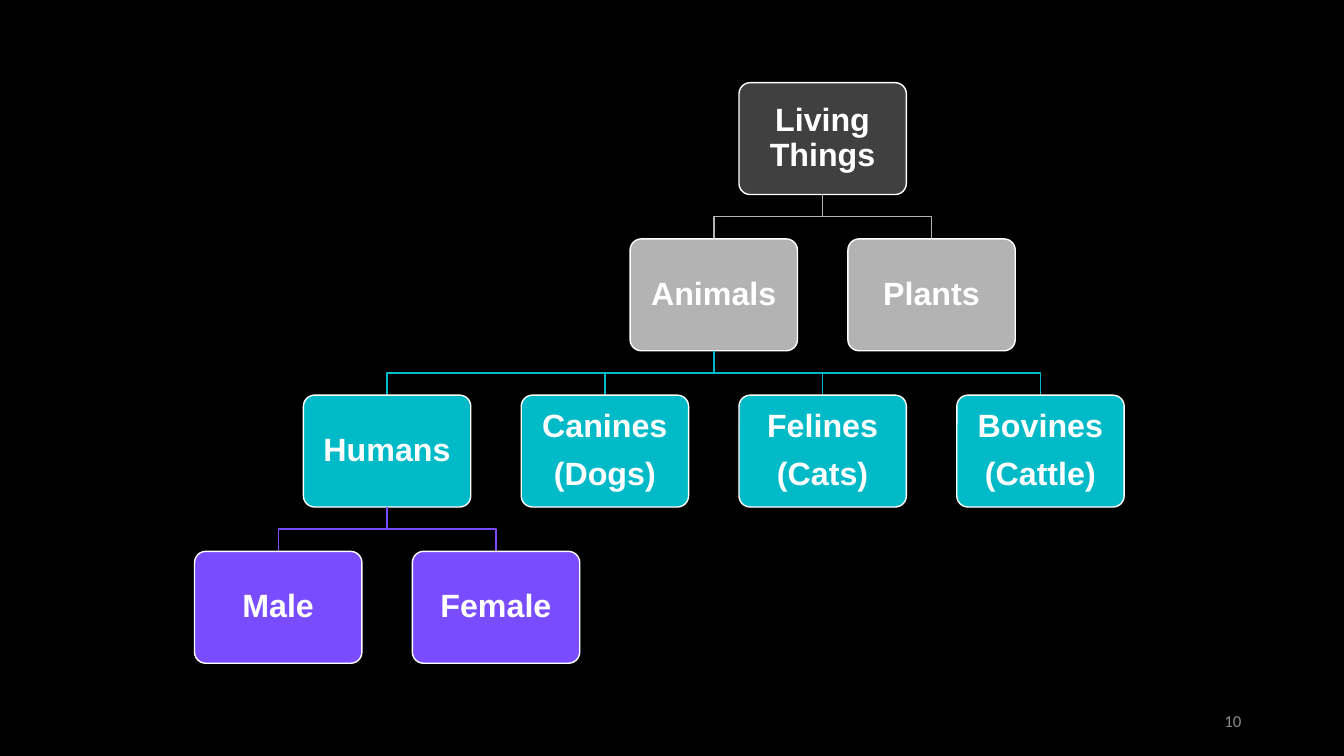
from dataclasses import dataclass

from pptx import Presentation
from pptx.dml.color import RGBColor
from pptx.enum.shapes import MSO_SHAPE
from pptx.enum.text import MSO_ANCHOR, PP_ALIGN
from pptx.slide import Slide
from pptx.text.text import TextFrame
from pptx.util import Inches, Pt

ROUNDED_RECTANGLE = MSO_SHAPE.ROUNDED_RECTANGLE
MIDDLE = MSO_ANCHOR.MIDDLE
CENTER = PP_ALIGN.CENTER
RIGHT = PP_ALIGN.RIGHT


@dataclass(frozen=True)
class Theme:
    background: RGBColor = RGBColor(0x00, 0x00, 0x00)
    light: RGBColor = RGBColor(0xFF, 0xFF, 0xFF)
    muted: RGBColor = RGBColor(0x8B, 0x8B, 0x8B)
    levels: tuple[RGBColor, ...] = (
        RGBColor(0x40, 0x40, 0x40),
        RGBColor(0xB3, 0xB3, 0xB3),
        RGBColor(0x00, 0xBA, 0xC8),
        RGBColor(0x79, 0x4D, 0xFF),
    )
    node_font: str = "Arial"
    number_font: str = "Calibri"
    node_size: Pt = Pt(23)
    number_size: Pt = Pt(12)
    paragraph_gap: Pt = Pt(9)
    line_width: Pt = Pt(1)


@dataclass(frozen=True)
class Node:
    lines: tuple[str, ...]
    children: tuple["Node", ...] = ()


THEME = Theme()
BOX_WIDTH = Inches(1.66)
BOX_HEIGHT = Inches(1.11)
BOX_INSET = Inches(0.13)
COLUMN_PITCH = Inches(2.16)
LEVEL_PITCH = Inches(1.55)
TREE_TOP = Inches(0.82)
ROOT_CENTER = Inches(8.16)

HUMANS = Node(("Humans",), (Node(("Male",)), Node(("Female",))))
ANIMALS = Node(
    ("Animals",),
    (
        HUMANS,
        Node(("Canines", "(Dogs)")),
        Node(("Felines", "(Cats)")),
        Node(("Bovines", "(Cattle)")),
    ),
)
LIVING_THINGS = Node(("Living Things",), (ANIMALS, Node(("Plants",))))


def set_insets(text_frame: TextFrame, horizontal: int, vertical: int) -> None:
    text_frame.margin_left = text_frame.margin_right = horizontal
    text_frame.margin_top = text_frame.margin_bottom = vertical
    text_frame.vertical_anchor = MIDDLE
    text_frame.word_wrap = True


def draw_box(slide: Slide, node: Node, center: int, level: int) -> None:
    shape = slide.shapes.add_shape(
        ROUNDED_RECTANGLE,
        center - BOX_WIDTH // 2,
        TREE_TOP + level * LEVEL_PITCH,
        BOX_WIDTH,
        BOX_HEIGHT,
    )
    shape.adjustments[0] = 0.1
    shape.shadow.inherit = False
    shape.fill.solid()
    shape.fill.fore_color.rgb = THEME.levels[level]
    shape.line.color.rgb = THEME.light
    shape.line.width = THEME.line_width
    text_frame = shape.text_frame
    set_insets(text_frame, BOX_INSET, BOX_INSET)
    for index, line in enumerate(node.lines):
        paragraph = text_frame.add_paragraph() if index else text_frame.paragraphs[0]
        paragraph.alignment = CENTER
        paragraph.line_spacing = 0.9
        paragraph.space_after = THEME.paragraph_gap
        run = paragraph.add_run()
        run.text = line
        run.font.name = THEME.node_font
        run.font.size = THEME.node_size
        run.font.bold = True
        run.font.color.rgb = THEME.light


def draw_branch(slide: Slide, parent_center: int, center: int, level: int) -> None:
    bottom = TREE_TOP + level * LEVEL_PITCH
    top = bottom - LEVEL_PITCH + BOX_HEIGHT
    middle = (top + bottom) // 2
    builder = slide.shapes.build_freeform(parent_center, top)
    builder.add_line_segments(
        [(parent_center, middle), (center, middle), (center, bottom)], close=False
    )
    branch = builder.convert_to_shape()
    branch.shadow.inherit = False
    branch.fill.background()
    branch.line.color.rgb = THEME.levels[level]
    branch.line.width = THEME.line_width


def draw_tree(slide: Slide, node: Node, center: int, level: int = 0) -> None:
    draw_box(slide, node, center, level)
    first_center = center - (len(node.children) - 1) * COLUMN_PITCH // 2
    for index, child in enumerate(node.children):
        child_center = first_center + index * COLUMN_PITCH
        draw_branch(slide, center, child_center, level + 1)
        draw_tree(slide, child, child_center, level + 1)


def draw_slide_number(slide: Slide, number: str) -> None:
    shape = slide.shapes.add_textbox(
        Inches(9.41), Inches(6.95), Inches(3), Inches(0.4)
    )
    set_insets(shape.text_frame, Inches(0.1), Inches(0.05))
    paragraph = shape.text_frame.paragraphs[0]
    paragraph.alignment = RIGHT
    run = paragraph.add_run()
    run.text = number
    run.font.name = THEME.number_font
    run.font.size = THEME.number_size
    run.font.color.rgb = THEME.muted


def main() -> None:
    presentation = Presentation()
    presentation.slide_width = Inches(13.33)
    presentation.slide_height = Inches(7.5)
    slide = presentation.slides.add_slide(presentation.slide_layouts[6])
    slide.background.fill.solid()
    slide.background.fill.fore_color.rgb = THEME.background
    draw_tree(slide, LIVING_THINGS, ROOT_CENTER)
    draw_slide_number(slide, "10")
    presentation.save("out.pptx")


if __name__ == "__main__":
    main()
